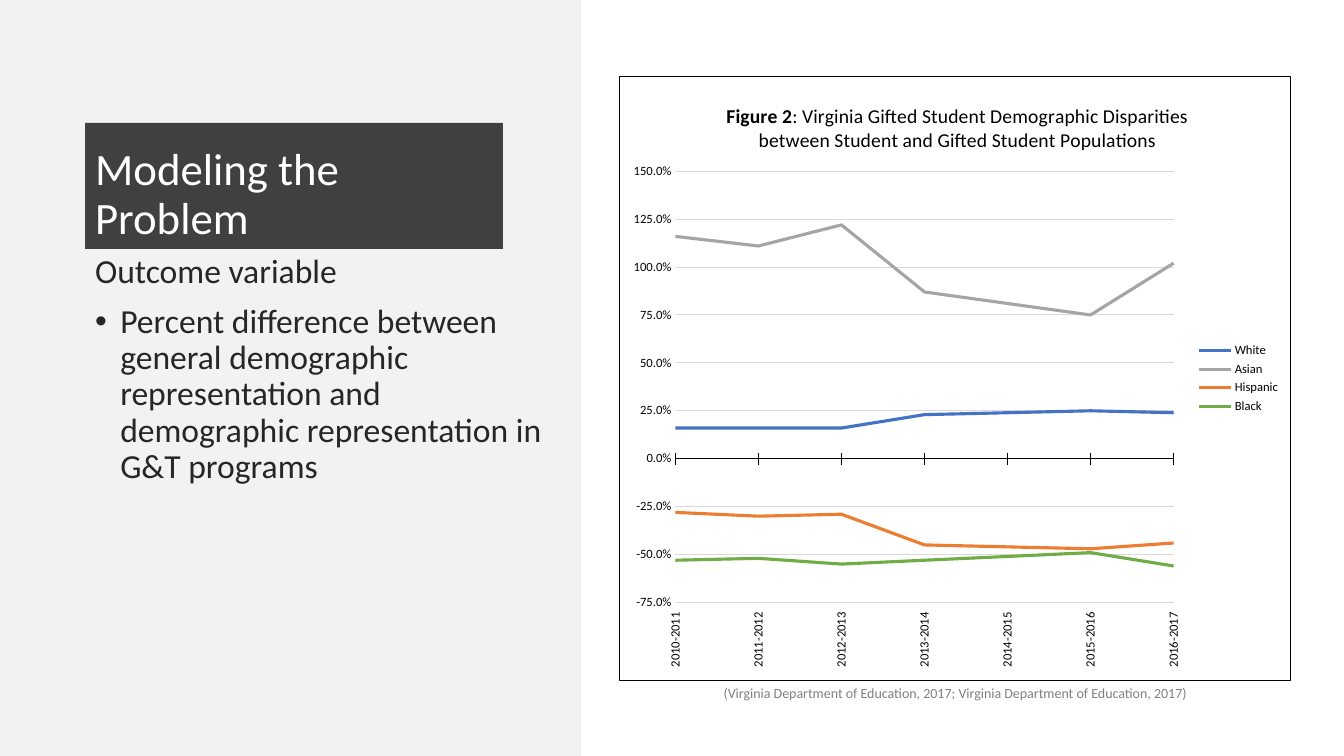
"""Build the slide on modeling the problem, with a line chart of gifted student disparities."""
import pptx
import pptx.chart.data
import pptx.dml.color
import pptx.enum.chart
import pptx.enum.shapes
import pptx.enum.text
import pptx.oxml
import pptx.util

PX = 914400 / 100.8
Pt = pptx.util.Pt
Enum = pptx.enum.chart
Align = pptx.enum.text.PP_ALIGN
Anchor = pptx.enum.text.MSO_ANCHOR
SPACE = 'xmlns:a="http://schemas.openxmlformats.org/drawingml/2006/main"'
CHART = 'xmlns:c="http://schemas.openxmlformats.org/drawingml/2006/chart"'
THEME = {
    "face": "Calibri",
    "size": {"title": 32, "body": 24, "chart": 14, "note": 10, "axis": 9},
    "color": {"panel": "F2F2F2", "band": "404040", "white": "FFFFFF", "body": "262626",
              "note": "808080", "black": "000000", "grid": "D9D9D9"},
    "series": {"White": "4472C4", "Asian": "A5A5A5", "Hispanic": "ED7D31", "Black": "70AD47"},
}


def tint(form, name):
    shade = THEME["color"].get(name, name)
    form.solid()
    form.fore_color.rgb = pptx.dml.color.RGBColor.from_string(shade)


def style(font, size, color, bold=False):
    look = {"name": THEME["face"], "size": Pt(THEME["size"][size]), "bold": bold}
    for key, value in look.items():
        setattr(font, key, value)
    tint(font.fill, color)


deck = pptx.Presentation()
deck.slide_width, deck.slide_height = round(1344 * PX), round(756 * PX)
slide = deck.slides.add_slide(deck.slide_layouts[1])
shapes = slide.shapes
title, body = slide.placeholders
panel = shapes.add_shape(pptx.enum.shapes.MSO_SHAPE.RECTANGLE, 0, 0, 0, 0)
panel.shadow.inherit = False
shapes._spTree.insert(2, panel._element)
note = shapes.add_textbox(0, 0, 0, 0)

boxes = [(panel, 0, 0, 580, 756), (title, 85, 123, 418, 126),
         (body, 85, 249, 483, 384), (note, 619, 680, 672, 27)]
for shape, *box in boxes:
    for side, value in zip(("left", "top", "width", "height"), box):
        setattr(shape, side, round(value * PX))
for shape, shade in ((panel, "panel"), (title, "band")):
    tint(shape.fill, shade)
panel.line.width = Pt(1)
tint(panel.line.fill, "panel")

texts = [
    (title, "title", "white", Align.LEFT, Anchor.BOTTOM, 0.9, 0, ["Modeling the Problem"]),
    (body, "body", "body", Align.LEFT, Anchor.TOP, 0.9, 10, [
        "Outcome variable",
        "Percent difference between general demographic representation and "
        "demographic representation in G&T programs"]),
    (note, "note", "note", Align.CENTER, Anchor.TOP, 1.0, 0, [
        "(Virginia Department of Education, 2017; Virginia Department of Education, 2017)"]),
]
for shape, size, color, align, anchor, pitch, gap, lines in texts:
    frame = shape.text_frame
    frame.text = "\n".join(lines)
    look = {"word_wrap": True, "vertical_anchor": anchor,
            "auto_size": pptx.enum.text.MSO_AUTO_SIZE.NONE}
    for key, value in look.items():
        setattr(frame, key, value)
    for para in frame.paragraphs:
        look = {"alignment": align, "line_spacing": pitch, "space_before": Pt(gap)}
        for key, value in look.items():
            setattr(para, key, value)
        style(para.runs[0].font, size, color)

marks = [(0, 0, f"<a:buNone {SPACE}/>"), (18, -18, f'<a:buChar {SPACE} char="•"/>')]
for para, (left, hang, mark) in zip(body.text_frame.paragraphs, marks):
    props = para._p.get_or_add_pPr()
    props.set("marL", str(Pt(left)))
    props.set("indent", str(Pt(hang)))
    props.append(pptx.oxml.parse_xml(mark))

rates = {
    "White": (0.16, 0.16, 0.16, 0.23, 0.24, 0.25, 0.24),
    "Asian": (1.16, 1.11, 1.22, 0.87, 0.81, 0.75, 1.02),
    "Hispanic": (-0.28, -0.3, -0.29, -0.45, -0.46, -0.47, -0.44),
    "Black": (-0.53, -0.52, -0.55, -0.53, -0.51, -0.49, -0.56),
}
data = pptx.chart.data.CategoryChartData(number_format="0.0%")
data.categories = [f"{year}-{year + 1}" for year in range(2010, 2017)]
for name, values in rates.items():
    data.add_series(name, values)
place = [round(value * PX) for value in (619, 76, 672, 605)]
chart = shapes.add_chart(Enum.XL_CHART_TYPE.LINE, *place, data).chart
style(chart.font, "note", "black")
chart.has_legend = True
chart.legend.position = Enum.XL_LEGEND_POSITION.RIGHT
chart.legend.include_in_layout = False
style(chart.legend.font, "axis", "black")

head = chart.chart_title.text_frame.paragraphs[0]
words = [("Figure 2", True), (": Virginia Gifted Student Demographic Disparities "
                             "between Student and Gifted Student Populations", False)]
for text, bold in words:
    run = head.add_run()
    run.text = text
    style(run.font, "chart", "black", bold)

chart.plots[0].vary_by_categories = False
for line in chart.plots[0].series:
    line.smooth = False
    line.marker.style = Enum.XL_MARKER_STYLE.NONE
    line.format.line.width = Pt(2.25)
    tint(line.format.line.fill, THEME["series"][line.name])

years, scale = chart.category_axis, chart.value_axis
Tick = Enum.XL_TICK_MARK
looks = [
    (years, {"major_tick_mark": Tick.CROSS, "minor_tick_mark": Tick.NONE,
             "tick_label_position": Enum.XL_TICK_LABEL_POSITION.LOW}),
    (scale, {"major_tick_mark": Tick.NONE, "minor_tick_mark": Tick.NONE,
             "minimum_scale": -0.75, "maximum_scale": 1.5, "major_unit": 0.25,
             "has_major_gridlines": True}),
]
for axis, look in looks:
    for key, value in look.items():
        setattr(axis, key, value)
    style(axis.tick_labels.font, "axis", "black")
scale.tick_labels.number_format = "0.0%"
scale.tick_labels.number_format_is_linked = False
scale.format.line.fill.background()
for form, shade in ((years.format, "black"), (scale.major_gridlines.format, "grid")):
    form.line.width = Pt(0.75)
    tint(form.line.fill, shade)
years._element.txPr.bodyPr.set("rot", "-5400000")
scale._element.find("{*}crosses").addnext(
    pptx.oxml.parse_xml(f'<c:crossBetween {CHART} val="midCat"/>'))

plot, label = chart._chartSpace.chart.plotArea, chart.chart_title._element
spots = [
    (plot, 0, '<c:layoutTarget val="inner"/>',
     {"x": 56 / 672, "y": 95 / 605, "w": 499 / 672, "h": 432 / 605}),
    (label, 1, "", {"x": 104 / 672, "y": 23 / 605}),
]
for node, index, tags, sides in spots:
    for old in node.findall("{*}layout"):
        node.remove(old)
    tags += '<c:xMode val="edge"/><c:yMode val="edge"/>'
    tags += "".join(f'<c:{key} val="{value:.4f}"/>' for key, value in sides.items())
    node.insert(index, pptx.oxml.parse_xml(
        f"<c:layout {CHART}><c:manualLayout>{tags}</c:manualLayout></c:layout>"))

white, black = (f'<a:solidFill><a:srgbClr val="{THEME["color"][name]}"/></a:solidFill>'
                for name in ("white", "black"))
chart._chartSpace.chart.addnext(pptx.oxml.parse_xml(
    f'<c:spPr {CHART} {SPACE}>{white}<a:ln w="{Pt(0.75)}">{black}</a:ln></c:spPr>'))

deck.save("out.pptx")
